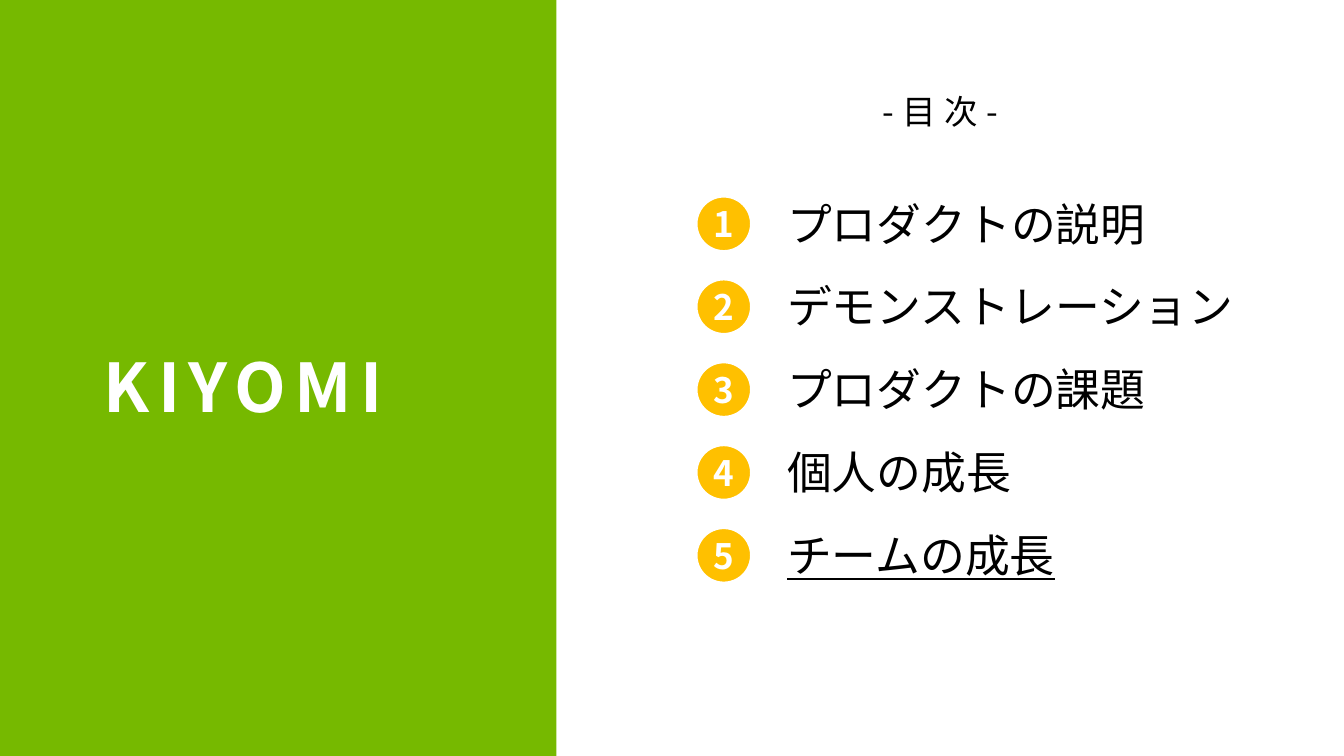
from dataclasses import dataclass, field

from lxml.etree import SubElement
from pptx import Presentation
from pptx.dml.color import RGBColor
from pptx.enum.shapes import MSO_SHAPE as Preset
from pptx.enum.text import MSO_ANCHOR as Anchor, MSO_AUTO_SIZE as AutoSize, PP_ALIGN as Align
from pptx.oxml.ns import qn
from pptx.shapes.autoshape import Shape
from pptx.slide import Slide
from pptx.util import Pt

GREEN = RGBColor(0x76, 0xB9, 0x00)
AMBER = RGBColor(0xFF, 0xC0, 0x00)
WHITE = RGBColor(0xFF, 0xFF, 0xFF)
BLACK = RGBColor(0x00, 0x00, 0x00)
FONT = "Noto Sans CJK JP"

PAGE_WIDTH, PAGE_HEIGHT = 960, 540
PANEL_WIDTH = 397.4
ROW_STEP = 59.2
LABEL_LEFT, LABEL_TOP, LABEL_WIDTH, LABEL_HEIGHT = 555.1, 136.6, 452.9, 46
BADGE_LEFT, BADGE_TOP, BADGE_SIZE = 497.5, 140.4, 39


@dataclass(frozen=True)
class Area:
    """A rectangle on the page, in points."""
    left: float
    top: float
    width: float
    height: float

    def lengths(self) -> tuple[Pt, Pt, Pt, Pt]:
        return Pt(self.left), Pt(self.top), Pt(self.width), Pt(self.height)


@dataclass(frozen=True)
class Style:
    size: float
    color: RGBColor = BLACK
    spacing: float = 0
    font: dict[str, bool] = field(default_factory=dict)


@dataclass(frozen=True)
class Topic:
    text: str
    underline: bool = False


TOPICS = [
    Topic("プロダクトの説明"),
    Topic("デモンストレーション"),
    Topic("プロダクトの課題"),
    Topic("個人の成長"),
    Topic("チームの成長", underline=True),
]
TITLE_STYLE = Style(48, WHITE, spacing=6, font={"bold": True})
HEADING_STYLE = Style(24, spacing=6)
BADGE_STYLE = Style(25, WHITE, font={"bold": True})


def write(box: Shape, text: str, style: Style) -> None:
    """Put one styled run in the first paragraph of the box."""
    span = box.text_frame.paragraphs[0].add_run()
    span.text = text
    formats = {"name": FONT, "size": Pt(style.size), **style.font}
    for name, value in formats.items():
        setattr(span.font, name, value)
    span.font.color.rgb = style.color
    properties = span._r.get_or_add_rPr()
    if style.spacing:
        properties.set("spc", str(round(style.spacing * 100)))
    SubElement(properties, qn("a:ea"), typeface=FONT)


def add_text(page: Slide, area: Area, text: str, style: Style) -> Shape:
    box = page.shapes.add_textbox(*area.lengths())
    box.text_frame.word_wrap = True
    write(box, text, style)
    return box


def add_solid(page: Slide, preset: Preset, area: Area, color: RGBColor) -> Shape:
    """Add a filled preset shape without outline or shadow."""
    shape = page.shapes.add_shape(preset, *area.lengths())
    shape.shadow.inherit = False
    shape.fill.solid()
    shape.fill.fore_color.rgb = color
    shape.line.fill.background()
    return shape


def add_badge(page: Slide, number: int, top: float) -> None:
    area = Area(BADGE_LEFT, top, BADGE_SIZE, BADGE_SIZE)
    badge = add_solid(page, Preset.OVAL, area, AMBER)
    badge.line.color.rgb = WHITE
    badge.line.width = Pt(1.5)
    frame = badge.text_frame
    formats = {
        "margin_left": 0, "margin_right": 0, "margin_top": 0, "margin_bottom": 0,
        "word_wrap": False, "vertical_anchor": Anchor.MIDDLE,
    }
    for name, value in formats.items():
        setattr(frame, name, value)
    frame.paragraphs[0].alignment = Align.CENTER
    write(badge, str(number), BADGE_STYLE)


def add_topic(page: Slide, index: int, topic: Topic) -> None:
    offset = index * ROW_STEP
    area = Area(LABEL_LEFT, LABEL_TOP + offset, LABEL_WIDTH, LABEL_HEIGHT)
    label = add_text(page, area, topic.text, Style(32, font={"underline": topic.underline}))
    label.text_frame.auto_size = AutoSize.SHAPE_TO_FIT_TEXT
    add_badge(page, index + 1, BADGE_TOP + offset)


def main() -> None:
    deck = Presentation()
    deck.slide_width, deck.slide_height = Pt(PAGE_WIDTH), Pt(PAGE_HEIGHT)
    page = deck.slides.add_slide(deck.slide_layouts[6])

    for index, topic in enumerate(TOPICS):
        add_topic(page, index, topic)

    add_solid(page, Preset.RECTANGLE, Area(0, 0, PANEL_WIDTH, PAGE_HEIGHT), GREEN)
    title = add_text(page, Area(67, 240.5, 306.7, 77), "KIYOMI", TITLE_STYLE)
    title.text_frame.vertical_anchor = Anchor.MIDDLE
    title.text_frame.paragraphs[0].line_spacing = 0.9
    heading = add_text(page, Area(623.5, 61.2, 148.3, 36), "-目次-", HEADING_STYLE)
    heading.text_frame.auto_size = AutoSize.SHAPE_TO_FIT_TEXT

    deck.save("out.pptx")


if __name__ == "__main__":
    main()
